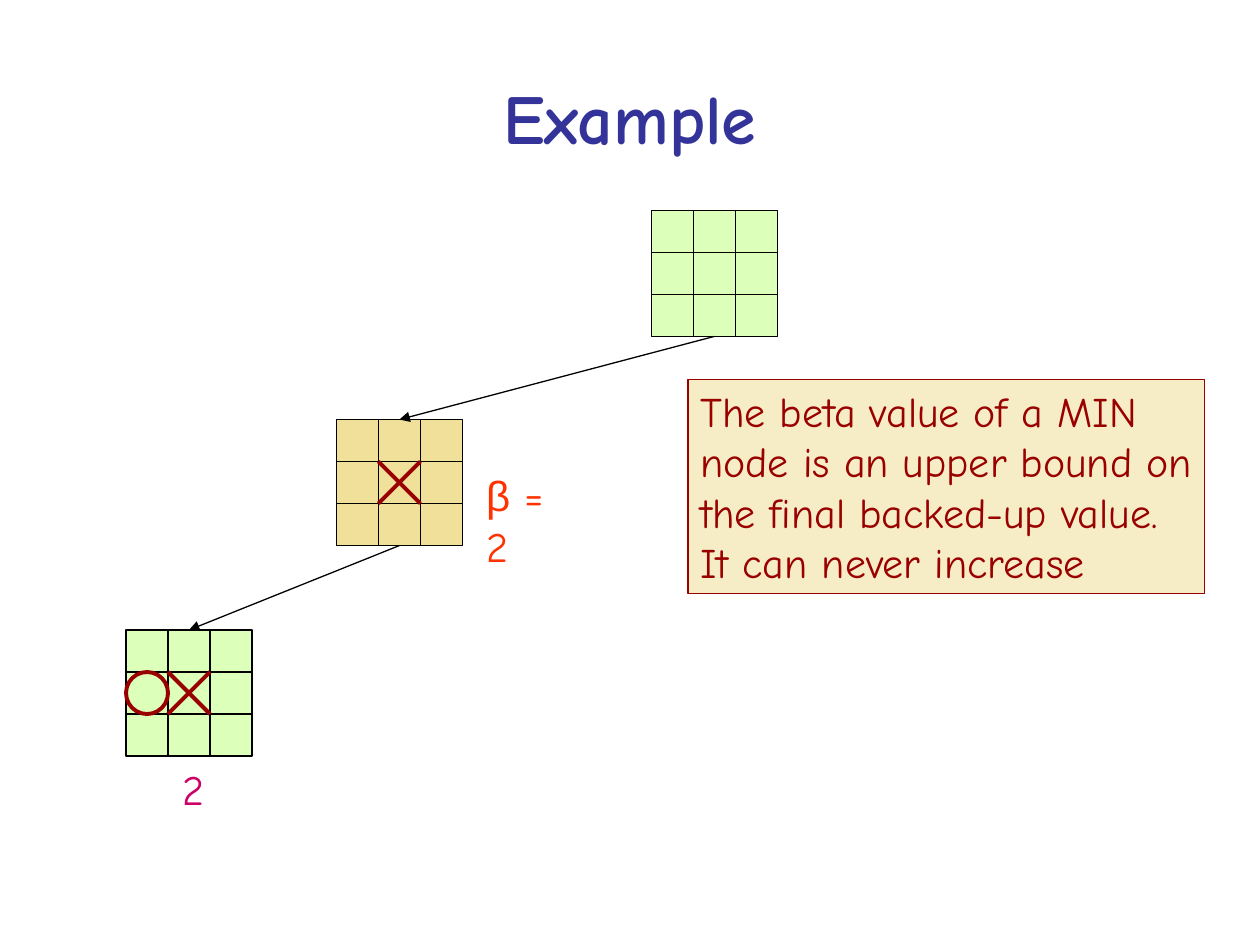
from dataclasses import dataclass

from lxml.etree import SubElement
from pptx import Presentation
from pptx.dml.color import RGBColor
from pptx.enum.shapes import MSO_CONNECTOR, MSO_SHAPE
from pptx.enum.text import MSO_ANCHOR, PP_ALIGN
from pptx.oxml.ns import qn
from pptx.shapes.autoshape import Shape
from pptx.shapes.connector import Connector
from pptx.util import Inches, Pt

BLACK = RGBColor(0x00, 0x00, 0x00)
NAVY = RGBColor(0x33, 0x33, 0x99)
DARK_RED = RGBColor(0x99, 0x00, 0x00)
ORANGE = RGBColor(0xFF, 0x33, 0x00)
MAGENTA = RGBColor(0xCC, 0x00, 0x66)
GREEN = RGBColor(0xDC, 0xFF, 0xB9)
SAND = RGBColor(0xF0, 0xE0, 0x9A)
CREAM = RGBColor(0xF6, 0xED, 0xC6)

FONT = "Comic Neue"
BOARD = 1.0
CELL = BOARD / 3
TOP, BOTTOM = 0, 2  # connection sites


@dataclass
class Board:
    left: float
    top: float
    fill: RGBColor
    marks: tuple[str, str, str] = ("   ", "   ", "   ")


@dataclass
class Label:
    left: float
    top: float
    width: float
    height: float
    lines: list[str]
    color: RGBColor
    size: int = 24
    bold: bool = False
    align: PP_ALIGN = PP_ALIGN.LEFT
    wrap: bool = False


def add_line(shapes, start: tuple[float, float], end: tuple[float, float],
             color: RGBColor = BLACK, width: float = 0.75) -> Connector:
    line = shapes.add_connector(MSO_CONNECTOR.STRAIGHT,
                                *(Inches(value) for value in (*start, *end)))
    line.line.color.rgb = color
    line.line.width = Pt(width)
    SubElement(line._element.spPr, qn("a:effectLst"))
    return line


def add_mark(shapes, mark: str, left: float, top: float) -> None:
    right, bottom = left + CELL, top + CELL
    if mark == "X":
        add_line(shapes, (left, top), (right, bottom), DARK_RED, 2.25)
        add_line(shapes, (left, bottom), (right, top), DARK_RED, 2.25)
    elif mark == "O":
        circle = shapes.add_shape(MSO_SHAPE.OVAL, Inches(left), Inches(top),
                                  Inches(CELL), Inches(CELL))
        circle.shadow.inherit = False
        circle.fill.background()
        circle.line.color.rgb = DARK_RED
        circle.line.width = Pt(2.25)


def add_board(slide, board: Board) -> Shape:
    """Draw a grouped board and return its outer square."""
    shapes = slide.shapes.add_group_shape().shapes
    left, top = board.left, board.top
    square = shapes.add_shape(MSO_SHAPE.RECTANGLE, Inches(left), Inches(top),
                              Inches(BOARD), Inches(BOARD))
    square.shadow.inherit = False
    square.fill.solid()
    square.fill.fore_color.rgb = board.fill
    square.line.color.rgb = BLACK
    square.line.width = Pt(0.75)
    for step in (CELL, 2 * CELL):
        add_line(shapes, (left + step, top), (left + step, top + BOARD))
        add_line(shapes, (left, top + step), (left + BOARD, top + step))
    for row, marks in enumerate(board.marks):
        for column, mark in enumerate(marks):
            add_mark(shapes, mark, left + column * CELL, top + row * CELL)
    return square


def add_arrow(slide, parent: Shape, child: Shape) -> None:
    arrow = add_line(slide.shapes, (0, 0), (1, 1))
    arrow.begin_connect(parent, BOTTOM)
    arrow.end_connect(child, TOP)
    SubElement(arrow.line._get_or_add_ln(), qn("a:tailEnd"), type="triangle")


def add_label(slide, label: Label) -> Shape:
    box = slide.shapes.add_textbox(Inches(label.left), Inches(label.top),
                                   Inches(label.width), Inches(label.height))
    frame = box.text_frame
    frame.word_wrap = label.wrap
    frame.text = "\n".join(label.lines)
    for paragraph in frame.paragraphs:
        paragraph.alignment = label.align
        paragraph.font.name = FONT
        paragraph.font.size = Pt(label.size)
        paragraph.font.bold = label.bold
        paragraph.font.color.rgb = label.color
    return box


def main() -> None:
    presentation = Presentation()
    presentation.slide_width = Inches(10)
    presentation.slide_height = Inches(7.5)
    slide = presentation.slides.add_slide(presentation.slide_layouts[6])

    # Title
    title = add_label(slide, Label(0.5, 0.3, 9, 1.25, ["Example"], NAVY, 40, True,
                                   PP_ALIGN.CENTER, True))
    title.text_frame.vertical_anchor = MSO_ANCHOR.MIDDLE

    # Game tree, from the root down
    boards = [
        Board(5.17, 1.67, GREEN),
        Board(2.67, 3.33, SAND, ("   ", " X ", "   ")),
        Board(1, 5, GREEN, ("   ", "OX ", "   ")),
    ]
    squares = [add_board(slide, board) for board in boards]
    for parent, child in zip(squares, squares[1:]):
        add_arrow(slide, parent, child)

    # Node values
    beta = add_label(slide, Label(3.76, 3.68, 0.93, 0.5, ["β"], ORANGE, wrap=True))
    paragraph = beta.text_frame.paragraphs[0]
    paragraph.runs[0].font.name = "Arial"
    paragraph.add_run().text = " = 2"
    add_label(slide, Label(1.35, 6.01, 0.37, 0.5, ["2"], MAGENTA))

    # Explanation
    note = add_label(slide, Label(5.46, 3.01, 4.1, 1.7, [
        "The beta value of a MIN",
        "node is an upper bound on",
        "the final backed-up value.",
        "It can never increase",
    ], DARK_RED))
    note.fill.solid()
    note.fill.fore_color.rgb = CREAM
    note.line.color.rgb = DARK_RED
    note.line.width = Pt(0.75)

    presentation.save("out.pptx")


if __name__ == "__main__":
    main()
